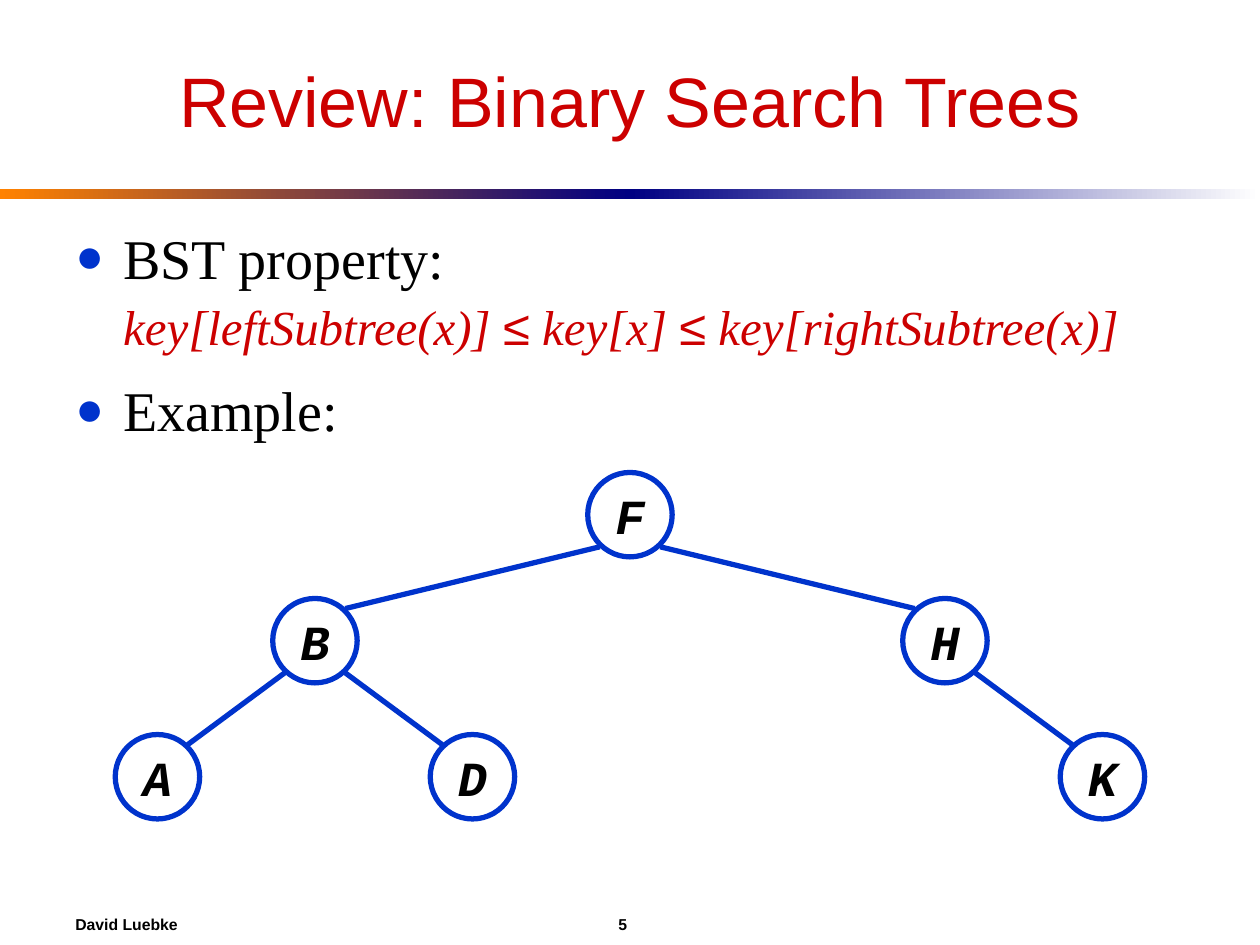
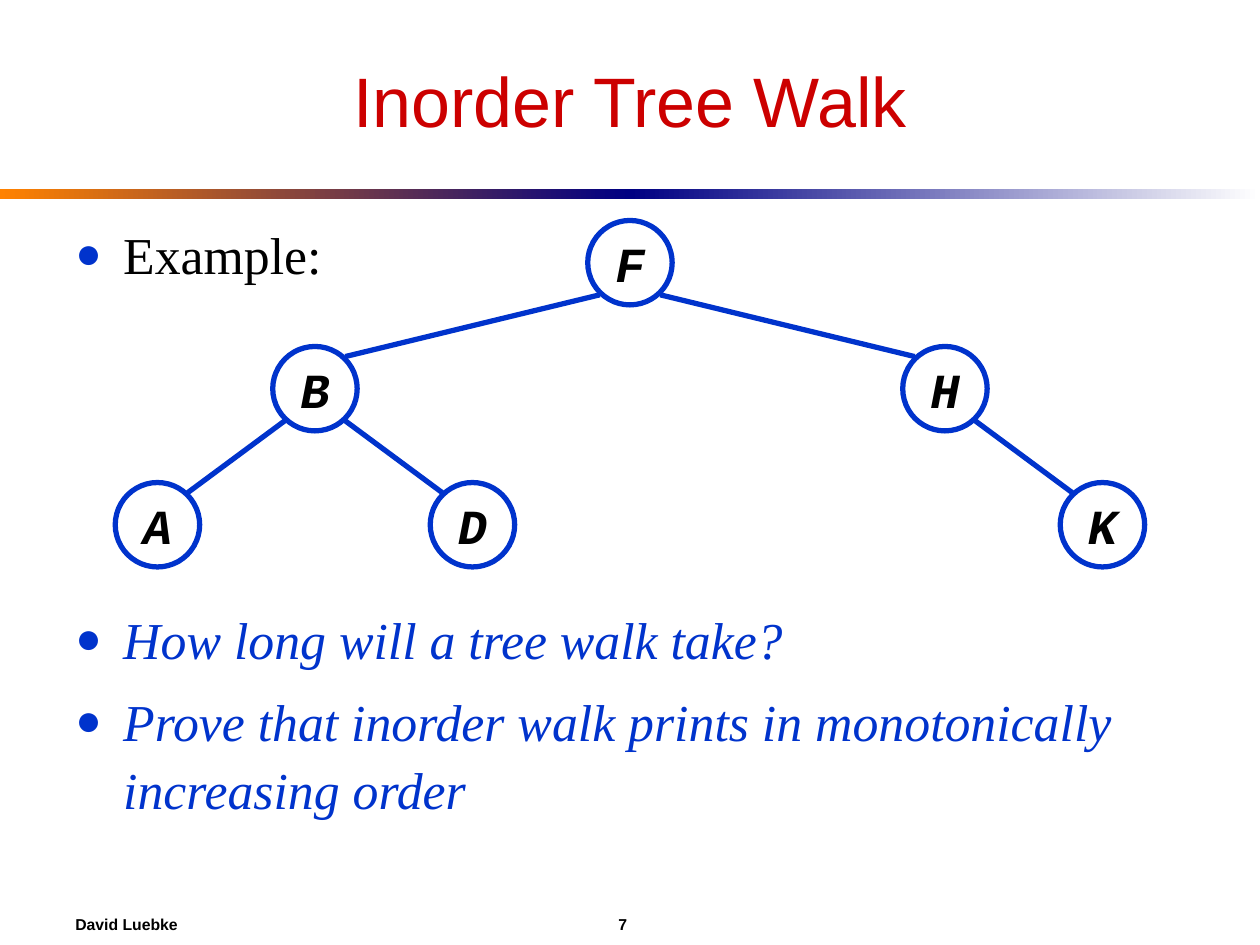
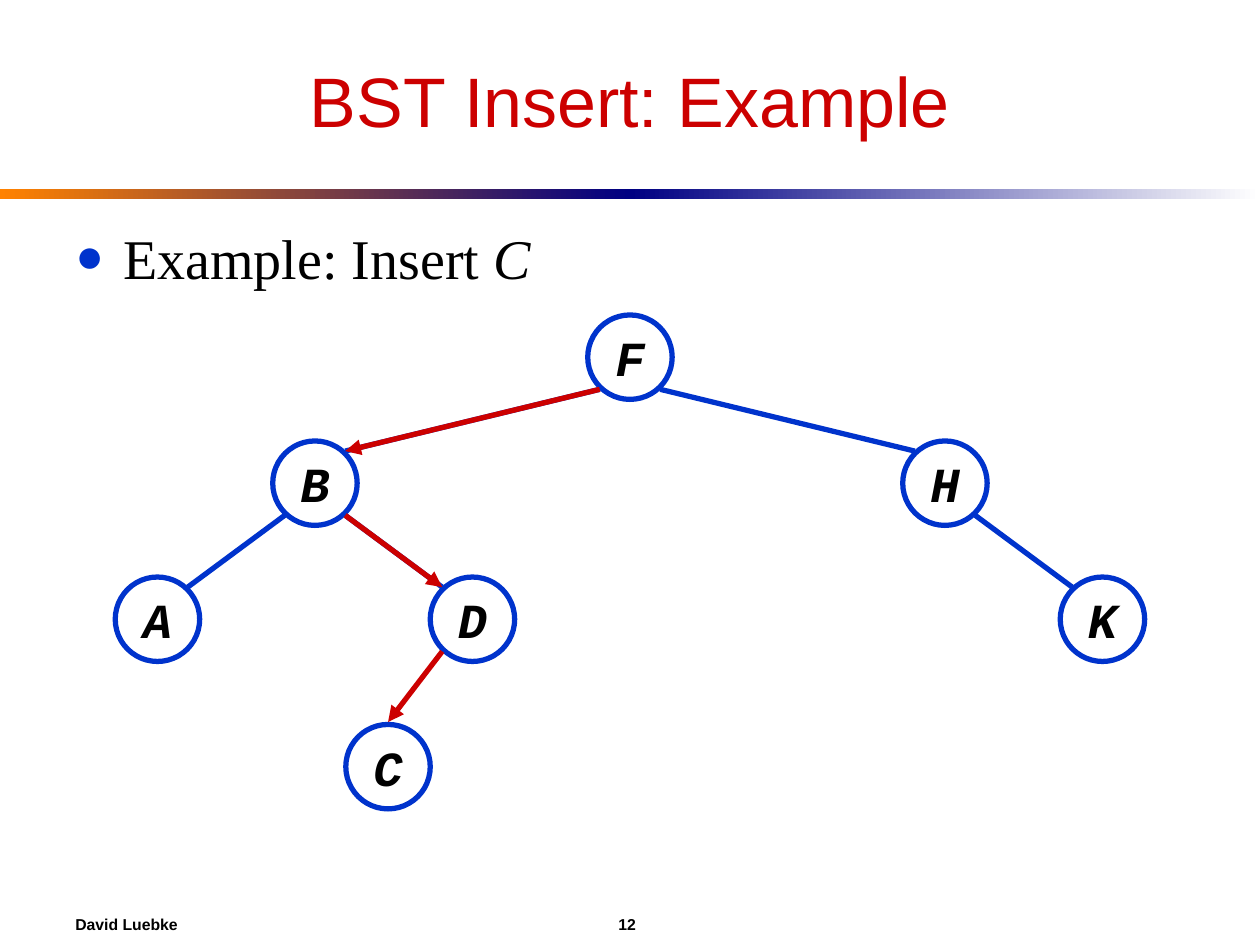
from dataclasses import dataclass

from lxml.etree import SubElement
from pptx import Presentation
from pptx.dml.color import RGBColor
from pptx.enum.shapes import MSO_CONNECTOR, MSO_SHAPE
from pptx.enum.text import MSO_ANCHOR, PP_ALIGN
from pptx.oxml.ns import qn
from pptx.slide import Slide
from pptx.text.text import TextFrame, _Paragraph
from pptx.util import Inches, Pt

COLORS = {
    "title": "CC0000",
    "accent": "CC0000",
    "blue": "0033CC",
    "text": "000000",
    "white": "FFFFFF",
    "orange": "FF8200",
    "navy": "000082",
}
SANS, SERIF, MONO = "Arial", "Times New Roman", "Courier New"
NODE_SIZE = 0.67
EDGE_DX, EDGE_DY = 0.24, 0.255


@dataclass(frozen=True)
class Phrase:
    text: str
    size: float = 32
    color: str = "text"
    italic: bool = False
    font: str = SERIF
    break_before: bool = False


@dataclass(frozen=True)
class Bullet:
    phrases: tuple[Phrase, ...]
    space_before: float = 8


@dataclass(frozen=True)
class Node:
    key: str
    x: float
    drop: float


@dataclass(frozen=True)
class Lecture:
    number: int
    title: str
    bullets: tuple[Bullet, ...]
    tree_top: float
    insertion: bool = False


NODES = {
    node.key: node
    for node in (
        Node("F", 5, 0),
        Node("B", 2.5, 1),
        Node("H", 7.5, 1),
        Node("K", 8.75, 2.08),
        Node("D", 3.75, 2.08),
        Node("A", 1.25, 2.08),
    )
}
EDGES = ("BA", "BD", "FB", "FH", "HK")
SEARCH_STEPS = ("FB", "BD")
INSERTED = Node("C", 3.08, 3.25)


def formula(text: str, font: str = SERIF, break_before: bool = False) -> Phrase:
    return Phrase(text, 28, "accent", True, font, break_before)


def question(text: str, space_before: float) -> Bullet:
    return Bullet((Phrase(text, 29.6, "blue", True),), space_before)


LECTURES = (
    Lecture(
        5,
        "Review: Binary Search Trees",
        (
            Bullet(
                (
                    Phrase("BST property:"),
                    formula("key[leftSubtree(x)] ", break_before=True),
                    formula("≤", SANS),
                    formula(" key[x] "),
                    formula("≤", SANS),
                    formula(" key[rightSubtree(x)]"),
                ),
                7,
            ),
            Bullet((Phrase("Example:"),)),
        ),
        3.75,
    ),
    Lecture(
        7,
        "Inorder Tree Walk",
        (
            Bullet((Phrase("Example:", 29.6),)),
            question("How long will a tree walk take?", 181),
            question("Prove that inorder walk prints in monotonically increasing order", 7.4),
        ),
        1.75,
    ),
    Lecture(
        12,
        "BST Insert: Example",
        (Bullet((Phrase("Example: Insert "), Phrase("C", italic=True))),),
        2.5,
        insertion=True,
    ),
)


def rgb(name: str) -> RGBColor:
    return RGBColor.from_string(COLORS[name])


def write(
    paragraph: _Paragraph,
    text: str,
    *,
    size: float,
    font: str,
    color: str = "text",
    bold: bool = False,
    italic: bool = False,
    align: PP_ALIGN = PP_ALIGN.LEFT,
) -> None:
    paragraph.alignment = align
    run = paragraph.add_run()
    run.text = text
    run.font.size = Pt(size)
    run.font.name = font
    run.font.color.rgb = rgb(color)
    run.font.bold = bold
    run.font.italic = italic


def add_frame(
    slide: Slide,
    left: float,
    top: float,
    width: float,
    height: float,
    anchor: MSO_ANCHOR = MSO_ANCHOR.MIDDLE,
) -> TextFrame:
    frame = slide.shapes.add_textbox(
        Inches(left), Inches(top), Inches(width), Inches(height)
    ).text_frame
    frame.word_wrap = True
    frame.vertical_anchor = anchor
    return frame


def add_band(slide: Slide, left: float, start: str, end: str) -> None:
    band = slide.shapes.add_shape(
        MSO_SHAPE.RECTANGLE, Inches(left), Inches(1.5), Inches(5), Inches(0.08)
    )
    band.shadow.inherit = False
    band.line.fill.background()
    band.fill.gradient()
    band.fill.gradient_angle = 0
    for stop, color, position in zip(band.fill.gradient_stops, (start, end), (0, 1)):
        stop.color.rgb = rgb(color)
        stop.position = position


def add_bullet_mark(paragraph: _Paragraph) -> None:
    properties = paragraph._p.get_or_add_pPr()
    properties.set("marL", str(Inches(0.38)))
    properties.set("indent", str(Inches(-0.38)))
    mark_color = SubElement(properties, qn("a:buClr"))
    SubElement(mark_color, qn("a:srgbClr"), val=COLORS["blue"])
    SubElement(properties, qn("a:buSzPct"), val="85000")
    SubElement(properties, qn("a:buFont"), typeface=SERIF)
    SubElement(properties, qn("a:buChar"), char="●")


def add_body(slide: Slide, bullets: tuple[Bullet, ...]) -> None:
    body = add_frame(slide, 0.5, 1.67, 9, 4.75, MSO_ANCHOR.TOP)
    for index, bullet in enumerate(bullets):
        paragraph = body.add_paragraph() if index else body.paragraphs[0]
        paragraph.line_spacing = 1.1
        paragraph.space_before = Pt(bullet.space_before)
        add_bullet_mark(paragraph)
        for phrase in bullet.phrases:
            if phrase.break_before:
                paragraph.add_line_break()
            write(
                paragraph,
                phrase.text,
                size=phrase.size,
                font=phrase.font,
                color=phrase.color,
                italic=phrase.italic,
            )


def add_node(slide: Slide, node: Node, tree_top: float) -> None:
    circle = slide.shapes.add_shape(
        MSO_SHAPE.OVAL,
        Inches(node.x - NODE_SIZE / 2),
        Inches(tree_top + node.drop),
        Inches(NODE_SIZE),
        Inches(NODE_SIZE),
    )
    circle.shadow.inherit = False
    circle.fill.solid()
    circle.fill.fore_color.rgb = rgb("white")
    circle.line.color.rgb = rgb("blue")
    circle.line.width = Pt(3)
    circle.text_frame.word_wrap = False
    circle.text_frame.vertical_anchor = MSO_ANCHOR.MIDDLE
    write(
        circle.text_frame.paragraphs[0],
        node.key,
        size=28,
        font=MONO,
        bold=True,
        italic=True,
        align=PP_ALIGN.CENTER,
    )


def add_line(
    slide: Slide,
    start: tuple[float, float],
    end: tuple[float, float],
    color: str = "blue",
    arrow: bool = False,
) -> None:
    link = slide.shapes.add_connector(
        MSO_CONNECTOR.STRAIGHT, *(Inches(value) for value in start + end)
    )
    link.line.color.rgb = rgb(color)
    link.line.width = Pt(3)
    if arrow:
        SubElement(link.line._get_or_add_ln(), qn("a:tailEnd"), type="triangle")
    SubElement(link._element.spPr, qn("a:effectLst"))


def edge_point(node: Node, tree_top: float, side: int, level: int) -> tuple[float, float]:
    center = tree_top + node.drop + NODE_SIZE / 2
    return node.x + side * EDGE_DX, center + level * EDGE_DY


def add_edge(
    slide: Slide, edge: str, tree_top: float, color: str = "blue", arrow: bool = False
) -> None:
    parent, child = (NODES[key] for key in edge)
    side = 1 if child.x > parent.x else -1
    add_line(
        slide,
        edge_point(parent, tree_top, side, 1),
        edge_point(child, tree_top, -side, -1),
        color,
        arrow,
    )


def add_tree(slide: Slide, tree_top: float) -> None:
    for node in NODES.values():
        add_node(slide, node, tree_top)
    for edge in EDGES:
        add_edge(slide, edge, tree_top)


def add_insertion(slide: Slide, tree_top: float) -> None:
    for edge in SEARCH_STEPS:
        add_edge(slide, edge, tree_top, "accent", True)
    add_node(slide, INSERTED, tree_top)
    add_line(
        slide,
        edge_point(NODES["D"], tree_top, -1, 1),
        (INSERTED.x, tree_top + INSERTED.drop - 0.02),
        "accent",
        True,
    )


def add_frame_parts(slide: Slide, lecture: Lecture) -> None:
    add_band(slide, 0, "orange", "navy")
    add_band(slide, 5, "navy", "white")
    for left, width, text in ((0.5, 3, "David Luebke"), (4.81, 1, str(lecture.number))):
        footer = add_frame(slide, left, 7.17, width, 0.33)
        write(footer.paragraphs[0], text, size=9, font=SANS, bold=True)
    title = add_frame(slide, 0.5, 0.25, 9, 1.08)
    write(
        title.paragraphs[0],
        lecture.title,
        size=40,
        font=SANS,
        color="title",
        align=PP_ALIGN.CENTER,
    )


def main() -> None:
    deck = Presentation()
    deck.slide_width, deck.slide_height = Inches(10), Inches(7.5)
    for lecture in LECTURES:
        slide = deck.slides.add_slide(deck.slide_layouts[6])
        add_frame_parts(slide, lecture)
        add_body(slide, lecture.bullets)
        add_tree(slide, lecture.tree_top)
        if lecture.insertion:
            add_insertion(slide, lecture.tree_top)
    deck.save("out.pptx")


if __name__ == "__main__":
    main()
